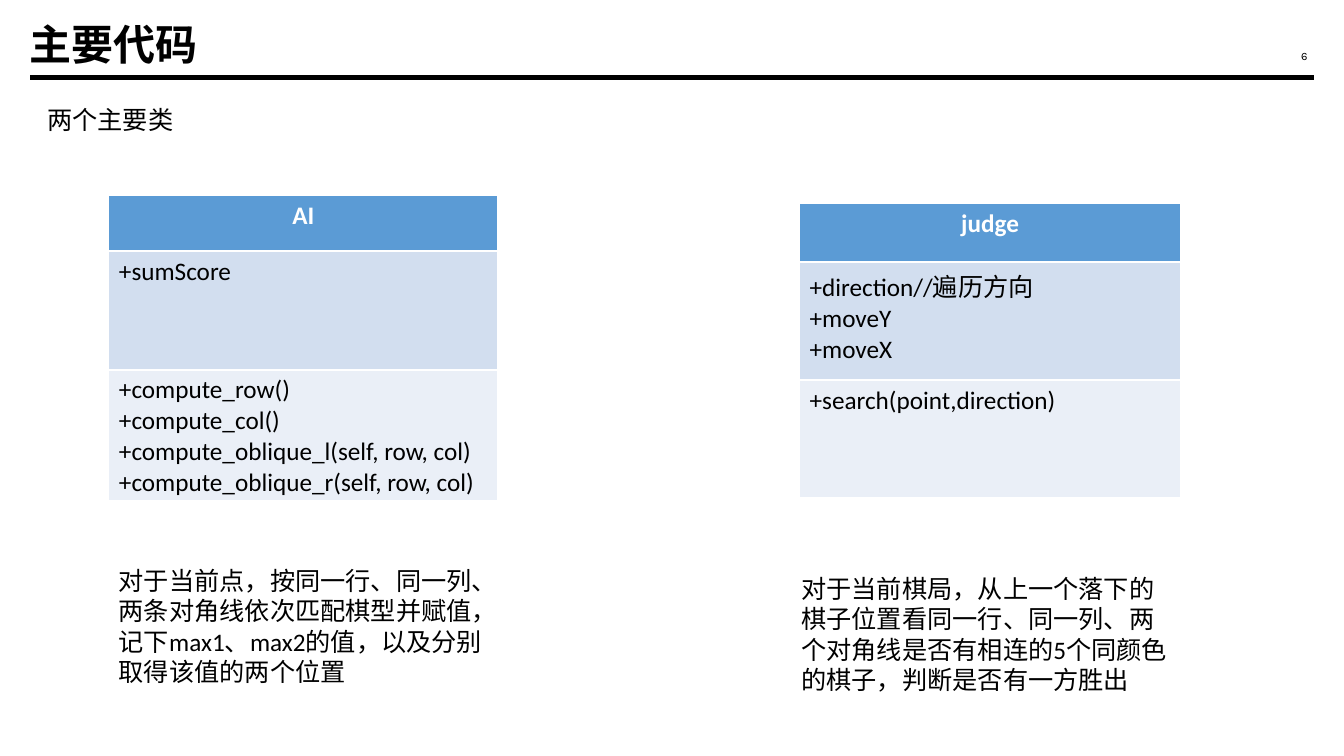
from lxml.etree import SubElement
from pptx import Presentation
from pptx.dml.color import RGBColor
from pptx.enum.shapes import MSO_CONNECTOR as Connector
from pptx.enum.text import MSO_ANCHOR as Anchor, MSO_AUTO_SIZE as AutoSize, PP_ALIGN as Align
from pptx.oxml.ns import qn
from pptx.util import Inches, Pt

BODY = {"name": "Calibri", "size": Pt(18), "bold": False}
HEADER = {**BODY, "bold": True}
TITLE = {"name": "Karla", "size": Pt(30), "bold": True}
NUMBER = {"name": "Karla", "size": Pt(8), "bold": False}
FLUSH = {f"margin_{side}": 0 for side in ("left", "top", "right", "bottom")}
MIDDLE = {**FLUSH, "vertical_anchor": Anchor.MIDDLE}
BLACK, WHITE = "000000", "FFFFFF"
ROW_FILLS = ("5B9BD5", "D2DEEF", "EAEFF7")


def color(hex_code):
    """Turn a hex string into a colour."""
    return RGBColor.from_string(hex_code)


def set_values(target, values):
    """Set every attribute named in values on the target."""
    for name, value in values.items():
        setattr(target, name, value)


class SlideBuilder:
    """Holds the current slide and draws its elements in one style."""

    def __init__(self, slide):
        """Keep the slide to draw on."""
        self.slide = slide

    def fill_text(self, frame, lines, font, ink=BLACK, **paragraph_format):
        """Fill a text frame with formatted lines."""
        frame.text = "\n".join(lines)
        for paragraph in frame.paragraphs:
            set_values(paragraph, paragraph_format)
            for run in paragraph.runs:
                set_values(run.font, font)
                run.font.color.rgb = color(ink)

    def title(self, text, left, top, width, height):
        """Place and format the title placeholder."""
        heading = self.slide.shapes.title
        set_values(heading, {"left": Inches(left), "top": Inches(top),
                             "width": Inches(width), "height": Inches(height)})
        set_values(heading.text_frame,
                   {**MIDDLE, "word_wrap": True, "auto_size": AutoSize.NONE})
        self.fill_text(heading.text_frame, [text], TITLE,
                       alignment=Align.LEFT, line_spacing=0.9)

    def text(self, text, left, top, width, height, font=BODY, frame_format=None,
             alignment=Align.LEFT):
        """Add a wrapping text box."""
        box = self.slide.shapes.add_textbox(*map(Inches, (left, top, width, height)))
        set_values(box.text_frame, {"word_wrap": True, **(frame_format or {})})
        self.fill_text(box.text_frame, [text], font, alignment=alignment)

    def rule(self, left, right, y, weight):
        """Add a horizontal line."""
        line = self.slide.shapes.add_connector(
            Connector.STRAIGHT, *map(Inches, (left, y, right, y)))
        line.line.color.rgb = color(BLACK)
        line.line.width = Pt(weight)
        SubElement(line._element.spPr, qn("a:effectLst"))

    def class_table(self, sections, left, top, width, heights):
        """Add a class diagram with name, fields and methods."""
        table = self.slide.shapes.add_table(
            len(sections), 1, *map(Inches, (left, top, width, sum(heights)))).table
        for index, (lines, height, fill) in enumerate(zip(sections, heights, ROW_FILLS)):
            table.rows[index].height = Inches(height)
            cell = table.cell(index, 0)
            cell.fill.solid()
            cell.fill.fore_color.rgb = color(fill)
            if index == 0:
                self.fill_text(cell.text_frame, lines, HEADER, WHITE, alignment=Align.CENTER)
            else:
                self.fill_text(cell.text_frame, lines, BODY, alignment=Align.LEFT)


presentation = Presentation()
presentation.slide_width, presentation.slide_height = Inches(13.33), Inches(7.5)
title_only = presentation.slide_layouts[5]
page = SlideBuilder(presentation.slides.add_slide(title_only))

page.rule(0.3, 13.03, 0.77, 3)
page.title("主要代码", 0.29, 0.24, 6.38, 0.45)
page.text("6", 12.54, 0.48, 0.79, 0.15, NUMBER, MIDDLE, Align.CENTER)
page.text("两个主要类", 0.37, 0.99, 1.89, 0.4)

ai_class = (
    ["AI"],
    ["+sumScore"],
    ["+compute_row()", "+compute_col()",
     "+compute_oblique_l(self, row, col)", "+compute_oblique_r(self, row, col)"],
)
judge_class = (
    ["judge"],
    ["+direction//遍历方向", "+moveY", "+moveX"],
    ["+search(point,direction)"],
)
page.class_table(ai_class, 1.08, 1.94, 3.86, (0.55, 1.18, 1.18))
page.class_table(judge_class, 7.93, 2.02, 3.78, (0.58, 1.17, 1.17))

ai_note = "对于当前点，按同一行、同一列、两条对角线依次匹配棋型并赋值，记下max1、max2的值，以及分别取得该值的两个位置"
judge_note = "对于当前棋局，从上一个落下的棋子位置看同一行、同一列、两个对角线是否有相连的5个同颜色的棋子，判断是否有一方胜出"
for note, left, top in ((ai_note, 1.08, 5.56), (judge_note, 7.85, 5.64)):
    page.text(note, left, top, 3.94, 1.31)

presentation.save("out.pptx")
